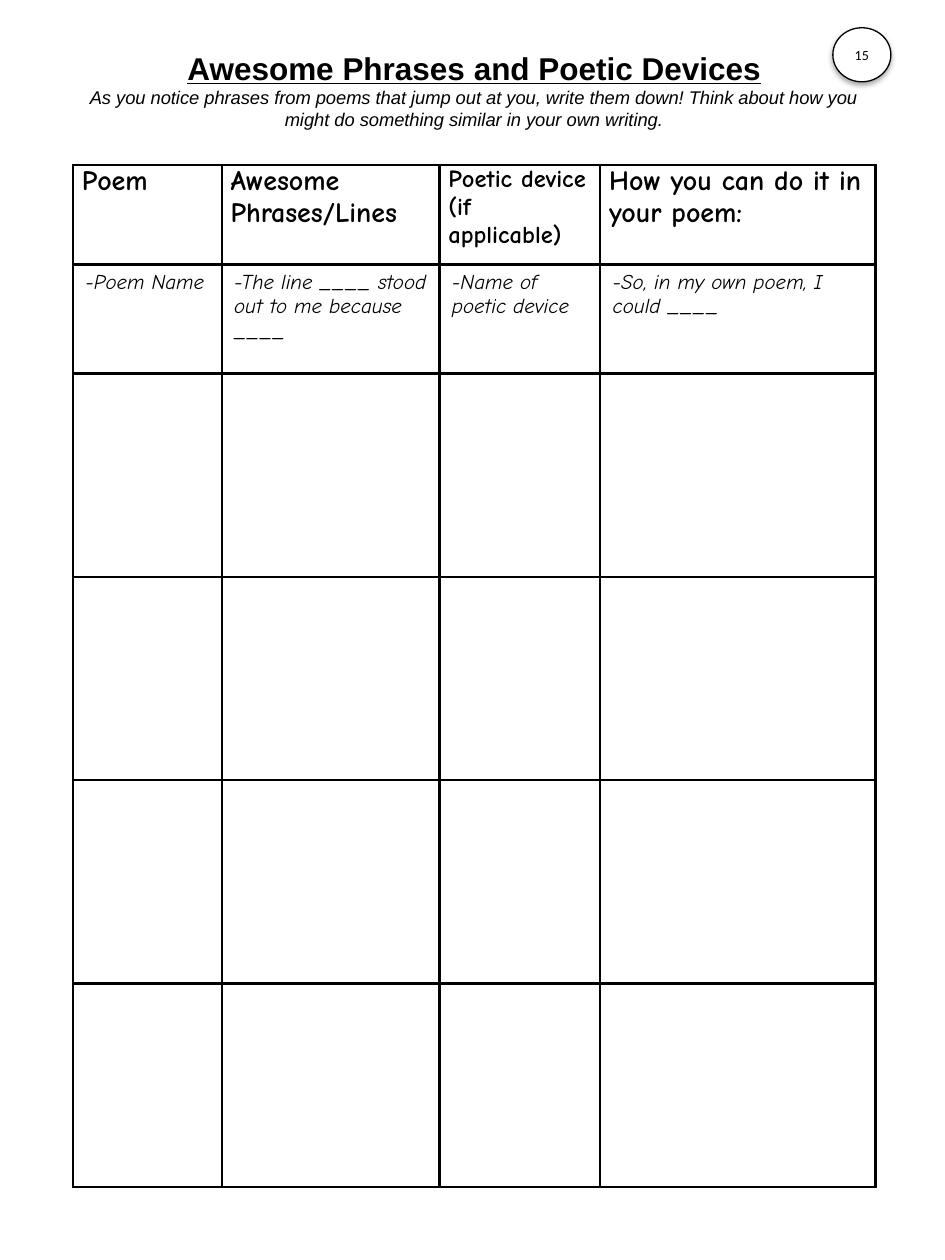
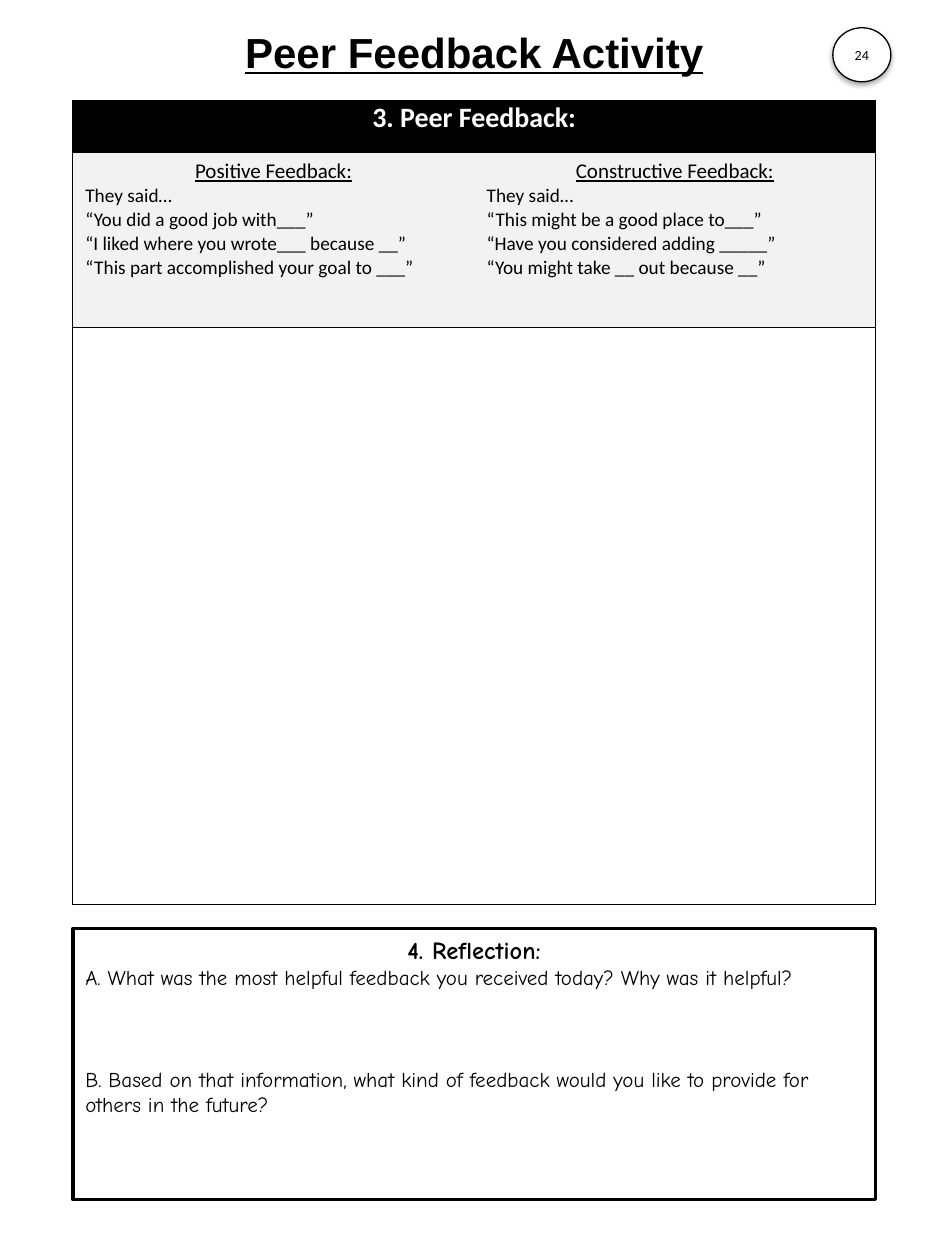
from lxml import etree
from pptx import Presentation
from pptx.dml.color import RGBColor
from pptx.enum import shapes, text
from pptx.oxml import ns
from pptx.util import Cm, Pt

BLACK, WHITE, GREY = "000000", "FFFFFF", "F2F2F2"
HEADING, BODY, HAND = "Arial", "Calibri", "Comic Neue"
CENTER, LEFT = text.PP_ALIGN.CENTER, text.PP_ALIGN.LEFT
MARGIN, CONTENT_WIDTH = 1.47, 16.18
TIGHT, ROOMY = (0.18, 0), (0.25, 0.13)  # horizontal and vertical cell margins

# Each line of text is (wording, style); a style may be changed with dict(STYLE, ...).
TITLE = dict(name=HEADING, size=18, bold=True, underline=True, align=CENTER)
SUBTITLE = dict(name=HEADING, size=10.5, italic=True, align=CENTER)
POEM_HEAD = dict(name=HAND, size=16, bold=True)
POEM_HINT = dict(name=HAND, size=12, italic=True)
BAND = dict(name=BODY, size=16, bold=True, color=WHITE, align=CENTER)
FEEDBACK_HEAD = dict(name=BODY, size=12, underline=True, align=CENTER)
FEEDBACK = dict(name=BODY, size=11)
REFLECTION_HEAD = dict(name=HAND, size=14, bold=True, align=CENTER)
REFLECTION = dict(name=HAND, size=12)
PAGE_NUMBER = dict(name=BODY, size=8, align=CENTER)

POEM_TITLE = [
    ("Awesome Phrases and Poetic Devices", TITLE),
    ("As you notice phrases from poems that jump out at you, write them down! "
     "Think about how you might do something similar in your own writing.", SUBTITLE),
]
POEM_COLUMNS = [  # width, heading, heading size, hint
    (3.0, "Poem", 16, "-Poem Name"),
    (4.39, "Awesome Phrases/Lines", 16, "-The line ____ stood out to me because ____"),
    (3.24, "Poetic device (if applicable)", 14, "-Name of poetic device"),
    (5.55, "How you can do it in your poem:", 16, "-So, in my own poem, I could ____"),
]
POEM_ROWS = [2.0, 2.2] + [4.1] * 4

FEEDBACK_TITLE = [("Peer Feedback Activity", dict(TITLE, size=24))]
FEEDBACK_BAND = "3. Peer Feedback:"
FEEDBACK_COLUMNS = [
    ("Positive Feedback:", "They said…", "“You did a good job with___”",
     "“I liked where you wrote___ because __”",
     "“This part accomplished your goal to ___”"),
    ("Constructive Feedback:", "They said…", "“This might be a good place to___”",
     "“Have you considered adding _____”",
     "“You might take __ out because __”"),
]
FEEDBACK_ROWS = [1.04, 3.53, 11.63]

REFLECTION_LINES = [
    ("4. Reflection:", REFLECTION_HEAD),
    ("A. What was the most helpful feedback you received today? Why was it helpful?",
     REFLECTION),
    ("B. Based on that information, what kind of feedback would you like to provide "
     "for others in the future?", dict(REFLECTION, before=44)),
]


def rgb(color):
    return RGBColor.from_string(color)


def write(frame, lines):
    """Fill a text frame with styled lines, one paragraph each."""
    for number, (wording, style) in enumerate(lines):
        paragraph = frame.add_paragraph() if number else frame.paragraphs[0]
        paragraph.text = wording
        paragraph.alignment = style.get("align", LEFT)
        if "before" in style:
            paragraph.space_before = Pt(style["before"])
        font = paragraph.font
        font.name, font.size = style["name"], Pt(style["size"])
        font.bold = style.get("bold", False)
        font.italic = style.get("italic", False)
        font.underline = style.get("underline", False)
        font.color.rgb = rgb(style.get("color", BLACK))


def add_title(slide, box, lines):
    frame = slide.shapes.add_textbox(*map(Cm, box)).text_frame
    frame.word_wrap = True
    frame.vertical_anchor = text.MSO_ANCHOR.MIDDLE
    write(frame, lines)


def add_outlined(slide, kind, box, line_width, lines, anchor):
    shape = slide.shapes.add_shape(kind, *map(Cm, box))
    shape.shadow.inherit = False
    shape.fill.solid()
    shape.fill.fore_color.rgb = rgb(WHITE)
    shape.line.color.rgb = rgb(BLACK)
    shape.line.width = Pt(line_width)
    shape.text_frame.vertical_anchor = anchor
    shape.text_frame.word_wrap = True
    write(shape.text_frame, lines)
    return shape


def add_page_number(slide, number):
    badge = add_outlined(slide, shapes.MSO_SHAPE.OVAL, (16.79, 0.56, 1.17, 1.09), 0.75,
                         [(number, PAGE_NUMBER)], text.MSO_ANCHOR.MIDDLE)
    effects = badge._element.spPr.find(ns.qn("a:effectLst"))
    shadow = etree.SubElement(effects, ns.qn("a:outerShdw"), blurRad=str(Pt(3.1)),
                              dist=str(Pt(1.8)), dir="5400000", rotWithShape="0")
    color = etree.SubElement(shadow, ns.qn("a:srgbClr"), val=BLACK)
    etree.SubElement(color, ns.qn("a:alpha"), val="35000")


def add_grid(slide, top, widths, heights):
    table = slide.shapes.add_table(len(heights), len(widths), Cm(MARGIN), Cm(top),
                                   Cm(CONTENT_WIDTH), Cm(sum(heights))).table
    table.first_row = table.horz_banding = False
    for column, width in zip(table.columns, widths):
        column.width = Cm(width)
    for row, height in zip(table.rows, heights):
        row.height = Cm(height)
    return table


def format_cell(cell, fill, sides, line_width, margins=ROOMY, lines=()):
    """Set fill, text and the borders on the given sides (letters of LRTB)."""
    cell.fill.solid()
    cell.fill.fore_color.rgb = rgb(fill)
    cell.margin_left = cell.margin_right = Cm(margins[0])
    cell.margin_top = cell.margin_bottom = Cm(margins[1])
    write(cell.text_frame, lines)
    properties = cell._tc.get_or_add_tcPr()
    for position, side in enumerate("LRTB"):
        border = etree.Element(ns.qn("a:ln" + side), w=str(Pt(line_width)))
        if side in sides:
            paint = etree.SubElement(border, ns.qn("a:solidFill"))
            etree.SubElement(paint, ns.qn("a:srgbClr"), val=BLACK)
        else:
            etree.SubElement(border, ns.qn("a:noFill"))
        properties.insert(position, border)


def build_poem_slide(slide):
    add_title(slide, (MARGIN, 0.56, CONTENT_WIDTH, 2.49), POEM_TITLE)
    table = add_grid(slide, 3.33, [column[0] for column in POEM_COLUMNS], POEM_ROWS)
    for c, (_, heading, size, hint) in enumerate(POEM_COLUMNS):
        filled = [(TIGHT, [(heading, dict(POEM_HEAD, size=size))]),
                  (ROOMY, [(hint, POEM_HINT)])]
        blank = [(ROOMY, [])] * (len(POEM_ROWS) - len(filled))
        for r, (margins, lines) in enumerate(filled + blank):
            format_cell(table.cell(r, c), WHITE, "LRTB", 1.5, margins, lines)
    add_page_number(slide, "15")


def build_feedback_slide(slide):
    add_title(slide, (2.84, 0.05, 13.44, 1.98), FEEDBACK_TITLE)
    table = add_grid(slide, 2.03, [CONTENT_WIDTH / 2] * 2, FEEDBACK_ROWS)
    band = table.cell(0, 0)
    band.merge(table.cell(0, 1))
    format_cell(band, BLACK, "LRT", 0.75, TIGHT, [(FEEDBACK_BAND, BAND)])
    for c, (heading, *starters) in enumerate(FEEDBACK_COLUMNS):
        outer = "LR"[c]
        lines = [(heading, FEEDBACK_HEAD)] + [(starter, FEEDBACK) for starter in starters]
        format_cell(table.cell(1, c), GREY, outer + "TB", 0.75, lines=lines)
        format_cell(table.cell(2, c), WHITE, outer + "TB", 0.75)
    add_outlined(slide, shapes.MSO_SHAPE.RECTANGLE, (MARGIN, 18.72, CONTENT_WIDTH, 5.46), 2,
                 REFLECTION_LINES, text.MSO_ANCHOR.TOP)
    add_page_number(slide, "24")


def main():
    presentation = Presentation()
    presentation.slide_width, presentation.slide_height = Cm(19.05), Cm(25.4)
    for build in (build_poem_slide, build_feedback_slide):
        build(presentation.slides.add_slide(presentation.slide_layouts[6]))
    presentation.save("out.pptx")


if __name__ == "__main__":
    main()
